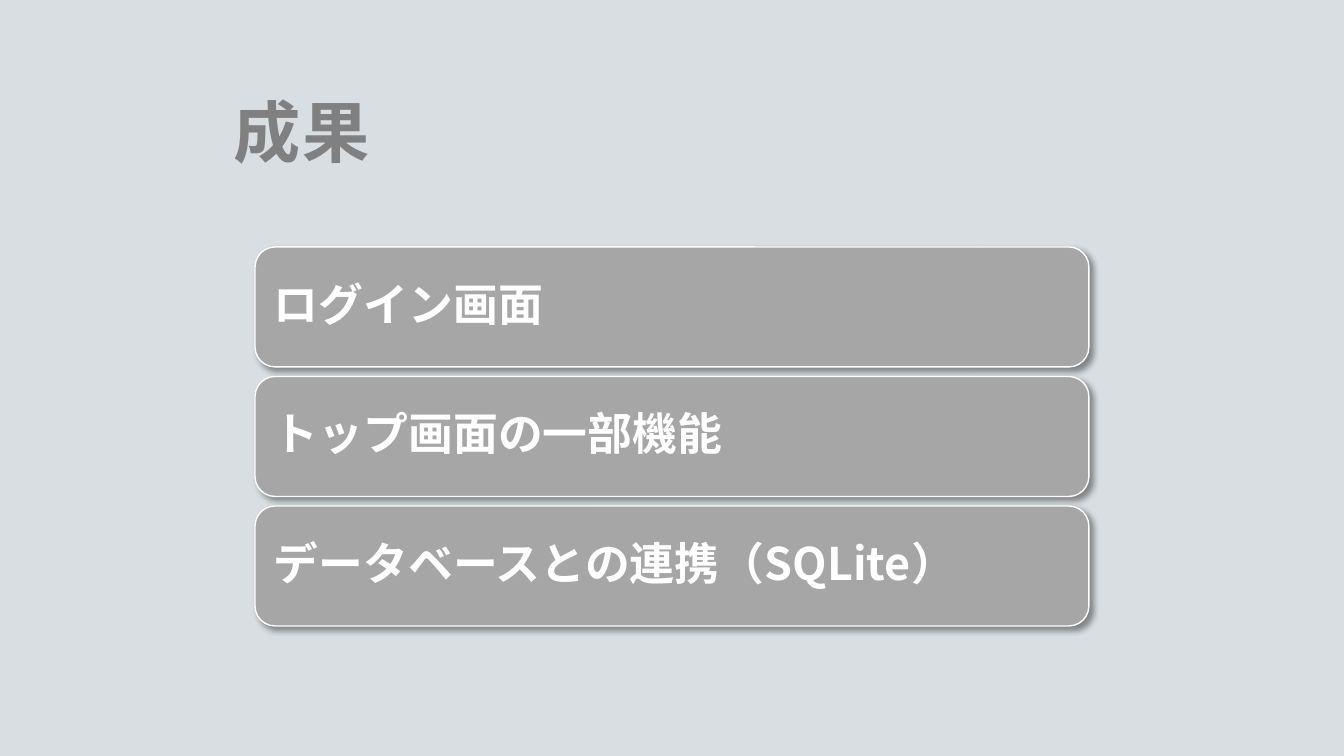
from dataclasses import dataclass

import lxml.etree
import pptx
import pptx.dml.color
import pptx.enum.shapes
import pptx.enum.text
import pptx.oxml.ns
import pptx.util

RGBColor = pptx.dml.color.RGBColor
BACKDROP = RGBColor(0xD8, 0xDE, 0xE1)
TITLE_GRAY = RGBColor(0x80, 0x80, 0x80)
CARD_GRAY = RGBColor(0xA6, 0xA6, 0xA6)
WHITE = RGBColor(0xFF, 0xFF, 0xFF)
BLACK = RGBColor(0x00, 0x00, 0x00)
FONT = "Noto Sans CJK JP"
SLIDE_W, SLIDE_H = 13.33, 7.5
CARD_LEFT, CARD_TOP = 2.53, 2.45
CARD_W, CARD_H, ROW_STEP = 8.27, 1.19, 1.285


@dataclass(frozen=True)
class Card:
    row: int
    text: str


CARDS = [
    Card(row, text)
    for row, text in enumerate(
        ["ログイン画面", "トップ画面の一部機能", "データベースとの連携（SQLite）"]
    )
]


def add_child(parent, tag: str, **attrs: str):
    child = lxml.etree.SubElement(parent, pptx.oxml.ns.qn(tag))
    for name, value in attrs.items():
        child.set(name, value)
    return child


def set_text(sp, text: str, size: int, color: RGBColor, inset: float):
    tf = sp.text_frame
    tf.text = text
    tf.word_wrap = True
    tf.auto_size = pptx.enum.text.MSO_AUTO_SIZE.NONE
    tf.vertical_anchor = pptx.enum.text.MSO_ANCHOR.MIDDLE
    tf.margin_left = tf.margin_right = pptx.util.Inches(inset)
    tf.margin_top = tf.margin_bottom = pptx.util.Inches(inset)
    p = tf.paragraphs[0]
    p.alignment = pptx.enum.text.PP_ALIGN.LEFT
    r = p.runs[0]
    r.font.name = FONT
    r.font.size = pptx.util.Pt(size)
    r.font.bold = True
    r.font.color.rgb = color
    add_child(r.font._element, "a:ea", typeface=FONT)
    return p


def add_shadow(sp) -> None:
    sp.shadow.inherit = False
    effects = sp._element.spPr.find(pptx.oxml.ns.qn("a:effectLst"))
    shadow = add_child(
        effects,
        "a:outerShdw",
        blurRad=str(pptx.util.Pt(4)),
        dist=str(pptx.util.Pt(3)),
        dir=str(45 * 60000),
        rotWithShape="0",
    )
    color = add_child(shadow, "a:srgbClr", val=str(BLACK))
    add_child(color, "a:alpha", val="40000")


def add_card(s, card: Card) -> None:
    sp = s.shapes.add_shape(
        pptx.enum.shapes.MSO_SHAPE.ROUNDED_RECTANGLE,
        pptx.util.Inches(CARD_LEFT),
        pptx.util.Inches(CARD_TOP + card.row * ROW_STEP),
        pptx.util.Inches(CARD_W),
        pptx.util.Inches(CARD_H),
    )
    sp.fill.solid()
    sp.fill.fore_color.rgb = CARD_GRAY
    sp.line.color.rgb = WHITE
    sp.line.width = pptx.util.Pt(1)
    add_shadow(sp)
    p = set_text(sp, card.text, 32, WHITE, 0.13)
    p.line_spacing = 0.9
    p.space_after = pptx.util.Pt(11)


def add_title(s, text: str) -> None:
    title = s.shapes.title
    title.left, title.top = pptx.util.Inches(2.2), pptx.util.Inches(0.42)
    title.width, title.height = pptx.util.Inches(4.05), pptx.util.Inches(1.75)
    p = set_text(title, text, 48, TITLE_GRAY, 0.12)
    p.runs[0].font._element.set("spc", "130")


prs = pptx.Presentation()
prs.slide_width = pptx.util.Inches(SLIDE_W)
prs.slide_height = pptx.util.Inches(SLIDE_H)
s = prs.slides.add_slide(prs.slide_layouts.get_by_name("Title Only"))
s.background.fill.solid()
s.background.fill.fore_color.rgb = BACKDROP
add_title(s, "成果")
for card in CARDS:
    add_card(s, card)
prs.save("out.pptx")
